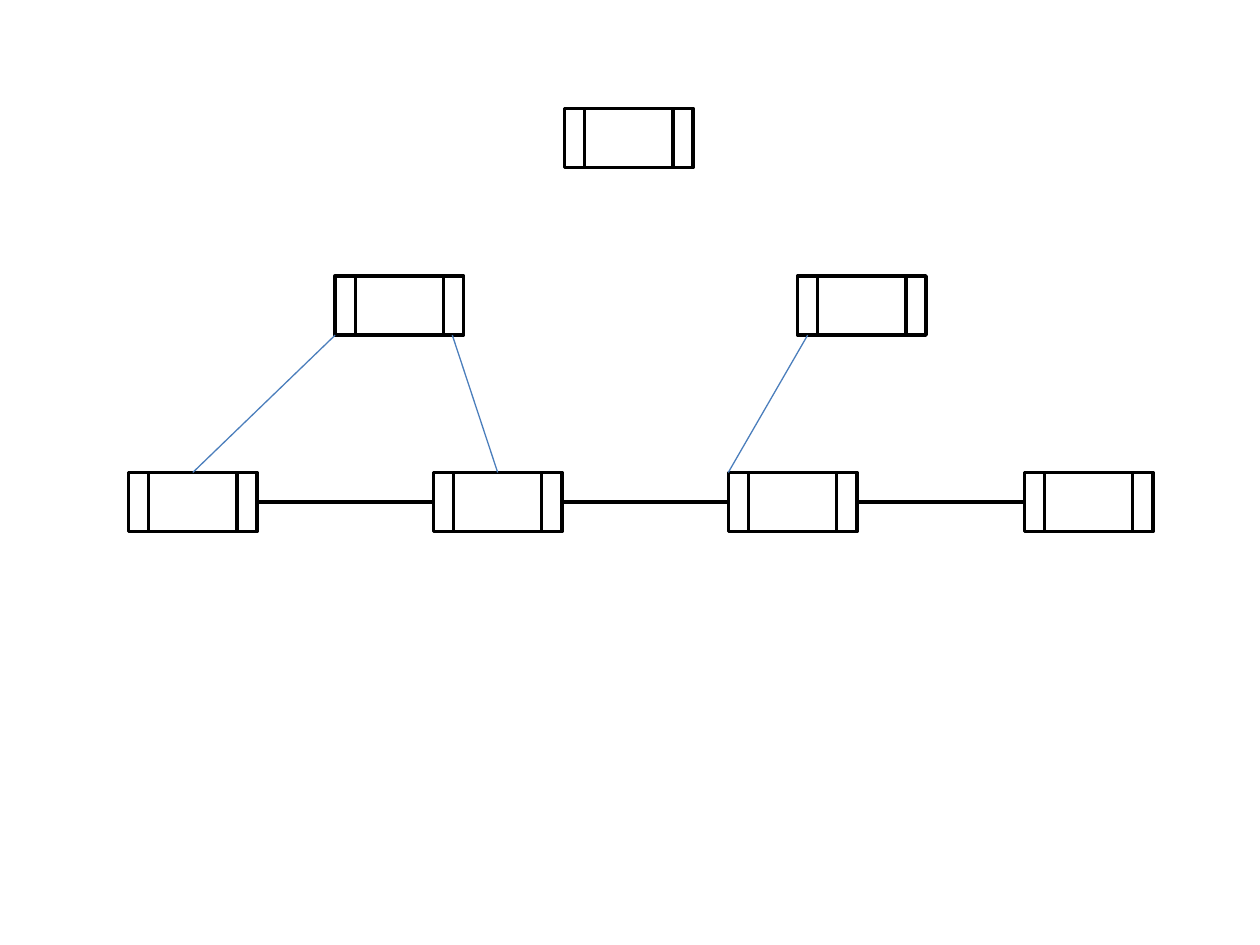
from itertools import pairwise

from lxml.etree import SubElement
from pptx import Presentation
from pptx.dml.color import RGBColor
from pptx.enum.shapes import MSO_CONNECTOR, MSO_SHAPE
from pptx.oxml.ns import qn
from pptx.util import Inches, Pt

COLORS = {"fill": "FFFFFF", "outline": "000000", "branch": "4B7EBC"}
NODE_WIDTH, NODE_HEIGHT = 1.02, 0.47
KEY_INSET, KEY_WIDTH = 0.16, 0.7
ROOT_TOP, BRANCH_TOP, LEAF_TOP = 0.86, 2.19, 3.75
BRANCH_BOTTOM = BRANCH_TOP + NODE_HEIGHT


class TreeSlide:
    def __init__(self, presentation):
        self.slide = presentation.slides.add_slide(presentation.slide_layouts[6])

    def style_line(self, line, color, width):
        line.color.rgb = RGBColor.from_string(COLORS[color])
        line.width = Pt(width)

    def rectangle(self, left, top, width):
        shape = self.slide.shapes.add_shape(
            MSO_SHAPE.RECTANGLE, Inches(left), Inches(top), Inches(width), Inches(NODE_HEIGHT)
        )
        shape.shadow.inherit = False
        shape.fill.solid()
        shape.fill.fore_color.rgb = RGBColor.from_string(COLORS["fill"])
        self.style_line(shape.line, "outline", 2)
        return shape

    def node(self, left, top):
        frame = self.rectangle(left, top, NODE_WIDTH)
        self.rectangle(left + KEY_INSET, top, KEY_WIDTH)
        return frame

    def connector(self, start, end, color, width):
        connector = self.slide.shapes.add_connector(
            MSO_CONNECTOR.STRAIGHT, *(Inches(value) for value in (*start, *end))
        )
        self.style_line(connector.line, color, width)
        SubElement(connector.element.spPr, qn("a:effectLst"))
        return connector

    def leaf_link(self, left_leaf, right_leaf):
        connector = self.connector((0, 0), (1, 0), "outline", 2)
        connector.begin_connect(left_leaf, 3)
        connector.end_connect(right_leaf, 1)

    def branch_link(self, start_x, end_x, leaf=None):
        connector = self.connector((start_x, BRANCH_BOTTOM), (end_x, LEAF_TOP), "branch", 0.75)
        if leaf is not None:
            connector.end_connect(leaf, 0)


def main():
    presentation = Presentation()
    presentation.slide_width = Inches(10)
    presentation.slide_height = Inches(7.5)
    tree = TreeSlide(presentation)

    tree.node(4.48, ROOT_TOP)
    for left in (2.66, 6.33):
        tree.node(left, BRANCH_TOP)
    leaf_lefts = (1.02, 3.44, 5.78, 8.13)
    leaves = [tree.node(left, LEAF_TOP) for left in leaf_lefts]

    for left_leaf, right_leaf in pairwise(leaves):
        tree.leaf_link(left_leaf, right_leaf)

    tree.branch_link(2.66, 1.52, leaves[0])
    tree.branch_link(3.59, 3.95, leaves[1])
    tree.branch_link(6.41, leaf_lefts[2])

    presentation.save("out.pptx")


if __name__ == "__main__":
    main()
